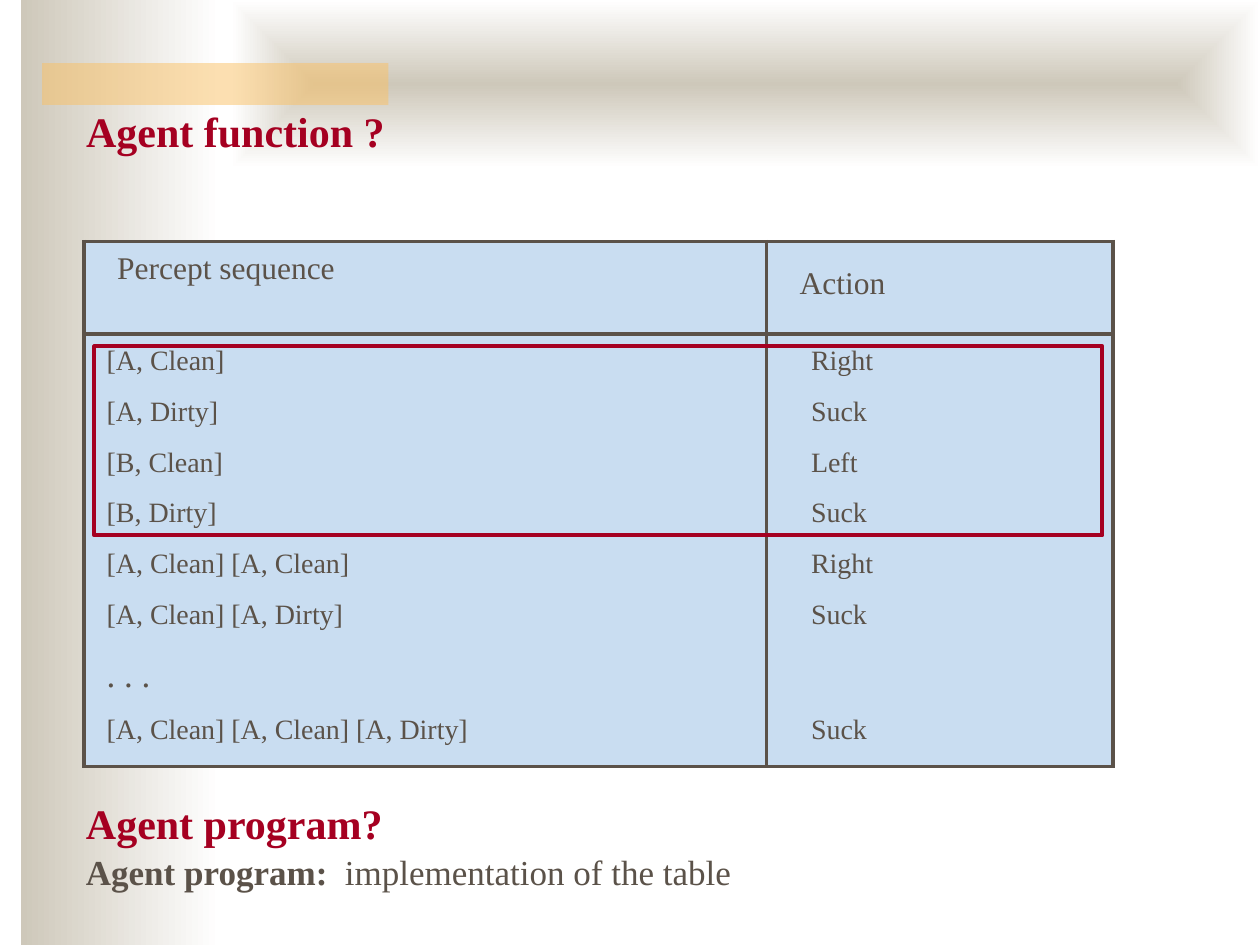
from dataclasses import dataclass

from lxml import etree
from pptx import Presentation
from pptx.dml.color import RGBColor
from pptx.enum.shapes import MSO_SHAPE
from pptx.enum.text import MSO_ANCHOR, MSO_AUTO_SIZE, PP_ALIGN
from pptx.oxml.ns import qn
from pptx.util import Pt

RECTANGLE = MSO_SHAPE.RECTANGLE
TOP = MSO_ANCHOR.TOP
LEFT = PP_ALIGN.LEFT
NO_AUTOFIT = MSO_AUTO_SIZE.NONE
FONT = "Times New Roman"
INK, RED, BLUE = "5B5249", "A50021", "C9DDF1"
SAND, GOLD, WHITE = "CEC8BA", "FAC164", "FFFFFF"
RULE = 2.25


@dataclass
class Area:
    left: float
    top: float
    width: float
    height: float

    def lengths(self) -> list:
        return [Pt(n) for n in (self.left, self.top, self.width, self.height)]


@dataclass
class Row:
    percepts: str
    action: str
    height: float = 29.1
    size: float = 16
    tops: tuple = (6.5, 6.5)
    indents: tuple = (13, 25.5)


ROWS = [
    Row("Percept sequence", "Action", 52.8, 18, (5.5, 14), (19, 19)),
    Row("[A, Clean]", "Right"),
    Row("[A, Dirty]", "Suck"),
    Row("[B, Clean]", "Left"),
    Row("[B, Dirty]", "Suck"),
    Row("[A, Clean] [A, Clean]", "Right"),
    Row("[A, Clean] [A, Dirty]", "Suck"),
    Row(". . .", "", 36.5, 20, (10, 10)),
    Row("[A, Clean] [A, Clean] [A, Dirty]", "Suck", 36.1),
]


def colour(code: str) -> RGBColor:
    return RGBColor.from_string(code)


def write(para, text: str, *, size: float, code: str = INK, bold: bool = False) -> None:
    span = para.add_run()
    span.text = text
    span.font.name = FONT
    span.font.size = Pt(size)
    span.font.bold = bold
    span.font.color.rgb = colour(code)


def add_rectangle(page, area: Area):
    box = page.shapes.add_shape(RECTANGLE, *area.lengths())
    box.shadow.inherit = False
    box.line.fill.background()
    return box


def add_gradient(page, area: Area, *, inward: bool = False) -> None:
    box = add_rectangle(page, area)
    box.fill.gradient()
    box.fill.gradient_angle = 0
    for stop, code, position in zip(box.fill.gradient_stops, (SAND, WHITE), (0, 1)):
        stop.color.rgb = colour(code)
        stop.position = position
    if inward:
        gradient = box.element.spPr.find(qn("a:gradFill"))
        gradient.remove(gradient.find(qn("a:lin")))
        shade = etree.SubElement(gradient, qn("a:path"), path="rect")
        etree.SubElement(shade, qn("a:fillToRect"), l="50000", t="50000", r="50000", b="50000")


def format_frame(frame) -> None:
    frame.word_wrap = True
    frame.auto_size = NO_AUTOFIT
    frame.vertical_anchor = TOP
    frame.margin_left = frame.margin_right = Pt(7.2)
    frame.margin_top, frame.margin_bottom = Pt(6), Pt(3.6)
    frame.paragraphs[0].alignment = LEFT


def add_text_box(page, area: Area):
    frame = page.shapes.add_textbox(*area.lengths()).text_frame
    format_frame(frame)
    return frame.paragraphs[0]


def set_borders(cell, drawn: set) -> None:
    properties = cell._tc.get_or_add_tcPr()
    for index, side in enumerate("LRTB"):
        line = etree.Element(qn(f"a:ln{side}"), w=str(Pt(RULE)))
        if side in drawn:
            paint = etree.SubElement(line, qn("a:solidFill"))
            etree.SubElement(paint, qn("a:srgbClr"), val=INK)
        else:
            etree.SubElement(line, qn("a:noFill"))
        properties.insert(index, line)


def add_agent_table(page, area: Area, widths: tuple) -> None:
    table = page.shapes.add_table(len(ROWS), len(widths), *area.lengths()).table
    table.first_row = table.horz_banding = False
    for column, width in zip(table.columns, widths):
        column.width = Pt(width)
    for row_index, row in enumerate(ROWS):
        table.rows[row_index].height = Pt(row.height)
        drawn = set("LR")
        if row_index <= 1:
            drawn.add("T")
        if row_index in (0, len(ROWS) - 1):
            drawn.add("B")
        for index, text in enumerate((row.percepts, row.action)):
            cell = table.cell(row_index, index)
            cell.fill.solid()
            cell.fill.fore_color.rgb = colour(BLUE)
            cell.vertical_anchor = TOP
            cell.margin_left, cell.margin_top = Pt(row.indents[index]), Pt(row.tops[index])
            cell.margin_right = cell.margin_bottom = 0
            set_borders(cell, drawn)
            if text:
                write(cell.text_frame.paragraphs[0], text, size=row.size)


def main() -> None:
    deck = Presentation()
    deck.slide_width, deck.slide_height = Pt(720), Pt(540)
    page = deck.slides.add_slide(deck.slide_layouts[5])

    # Backdrop
    add_gradient(page, Area(12, 0, 114, 540))
    add_gradient(page, Area(132, 0, 588, 96), inward=True)
    band = add_rectangle(page, Area(24, 36, 198, 24))
    band.fill.solid()
    band.fill.fore_color.rgb = colour(GOLD)
    gold = band.element.spPr.find(".//" + qn("a:srgbClr"))
    etree.SubElement(gold, qn("a:alpha"), val="50000")

    # Title, brought in front of the backdrop
    title = page.shapes.title
    title.left, title.top, title.width, title.height = Area(42, 54, 600, 124).lengths()
    format_frame(title.text_frame)
    write(title.text_frame.paragraphs[0], "Agent function ?", size=24, code=RED, bold=True)
    page.shapes.element.append(title.element)

    # Table of percepts and actions
    add_agent_table(page, Area(48, 138, 588, 300), (390, 198))

    # Agent program
    definition = add_text_box(page, Area(42, 480, 642, 32))
    tabs = etree.SubElement(definition._p.get_or_add_pPr(), qn("a:tabLst"))
    etree.SubElement(tabs, qn("a:tab"), pos=str(Pt(148)), algn="l")
    write(definition, "Agent program:\t", size=20, bold=True)
    write(definition, "implementation of the table", size=20)
    question = add_text_box(page, Area(42, 450, 342, 36))
    write(question, "Agent program?", size=24, code=RED, bold=True)

    # Frame around the single-percept rows
    frame = add_rectangle(page, Area(54, 198, 576, 108))
    frame.fill.background()
    frame.line.color.rgb = colour(RED)
    frame.line.width = Pt(RULE)

    deck.save("out.pptx")


if __name__ == "__main__":
    main()
